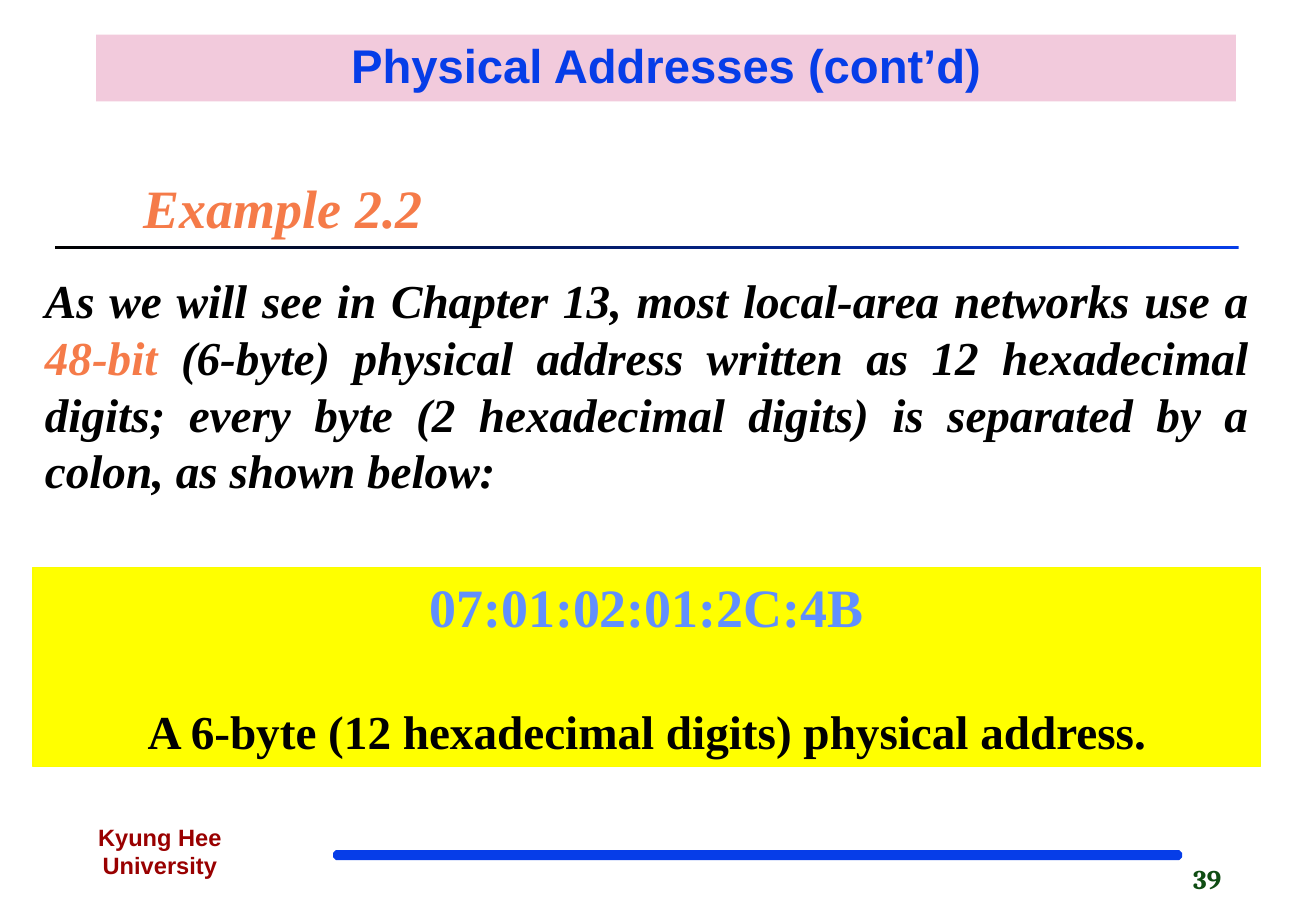
from pptx import Presentation
from pptx.dml import color
from pptx.enum import shapes, text
from pptx.util import Pt

SERIF = "Times New Roman"
SANS = "Arial"
BLUE = "063DE8"
ORANGE = "F57B49"
BLACK = "000000"
CENTER = text.PP_ALIGN.CENTER


def rgb(value):
    return color.RGBColor.from_string(value)


def add_bar(slide, kind, place, fill=None, line=None, width=1):
    bar = slide.shapes.add_shape(kind, *map(Pt, place))
    bar.shadow.inherit = False
    if fill:
        bar.fill.solid()
        bar.fill.fore_color.rgb = rgb(fill)
    if line:
        bar.line.color.rgb = rgb(line)
        bar.line.width = Pt(width)
    else:
        bar.line.fill.background()
    return bar


def add_rule(slide, place, start, end):
    rule = add_bar(slide, shapes.MSO_SHAPE.RECTANGLE, place)
    rule.fill.gradient()
    rule.fill.gradient_angle = 180
    for stop, shade in zip(rule.fill.gradient_stops, (start, end)):
        stop.color.rgb = rgb(shade)


def set_frame(shape, wrap=True, anchor=text.MSO_ANCHOR.TOP):
    frame = shape.text_frame
    frame.word_wrap = wrap
    frame.vertical_anchor = anchor
    return frame


def write(paragraph, pieces, size, font=SERIF, italic=False,
          align=text.PP_ALIGN.LEFT, spacing=None):
    paragraph.alignment = align
    paragraph.line_spacing = spacing or Pt(size * 1.2)
    for words, shade in pieces:
        run = paragraph.add_run()
        run.text = words
        run.font.size = Pt(size)
        run.font.name = font
        run.font.bold = True
        run.font.italic = italic
        run.font.color.rgb = rgb(shade)


def add_label(slide, place, pieces, size, wrap=True, **style):
    label = slide.shapes.add_textbox(*map(Pt, place))
    write(set_frame(label, wrap).paragraphs[0], pieces, size, **style)


def add_title(slide):
    title = add_bar(slide, shapes.MSO_SHAPE.RECTANGLE, (57, 20.5, 676, 39.6), "F2CADC")
    frame = set_frame(title, anchor=text.MSO_ANCHOR.MIDDLE)
    write(frame.paragraphs[0], [("Physical Addresses (cont’d)", BLUE)], 28,
          font=SANS, align=CENTER, spacing=0.9)


def add_address(slide):
    address = add_bar(slide, shapes.MSO_SHAPE.RECTANGLE,
                      (19.6, 336.2, 728, 118), "FFFF00", "FAFD00", 0.75)
    frame = set_frame(address)
    write(frame.paragraphs[0], [("07:01:02:01:2C:4B", "618FFD")], 32, align=CENTER)
    caption = frame.add_paragraph()
    caption.space_before = Pt(38.4)
    write(caption, [("A 6-byte (12 hexadecimal digits) physical address.", BLACK)],
          28, align=CENTER)


def add_footer(slide):
    band = add_bar(slide, shapes.MSO_SHAPE.OCTAGON, (198, 504.4, 502.6, 5), BLUE, BLUE)
    band.adjustments[0] = 0.29
    add_label(slide, (700.6, 508, 97, 28.8), [("39", "0F4D13")], 16,
              wrap=False, font="Cambria")
    add_label(slide, (16, 484.6, 157.7, 41), [("Kyung Hee University", "990000")],
              14, font=SANS, align=CENTER, spacing=Pt(16.4))


def main():
    deck = Presentation()
    deck.slide_width = Pt(780.48)
    deck.slide_height = Pt(540)
    slide = deck.slides.add_slide(deck.slide_layouts[6])
    add_footer(slide)
    add_rule(slide, (32.6, 145.6, 702, 2.2), BLUE, BLACK)
    explanation = [
        ("As we will see in Chapter 13, most local-area networks use a ", BLACK),
        ("48-bit ", ORANGE),
        ("(6-byte) physical address written as 12 hexadecimal digits; every byte "
         "(2 hexadecimal digits) is separated by a colon, as shown below:", BLACK),
    ]
    add_label(slide, (19.6, 157.5, 728, 141.8), explanation, 28,
              italic=True, align=text.PP_ALIGN.JUSTIFY)
    add_label(slide, (78.3, 100, 180, 46), [("Example 2.2", ORANGE)], 32,
              wrap=False, italic=True)
    add_address(slide)
    add_title(slide)
    deck.save("out.pptx")


if __name__ == "__main__":
    main()
